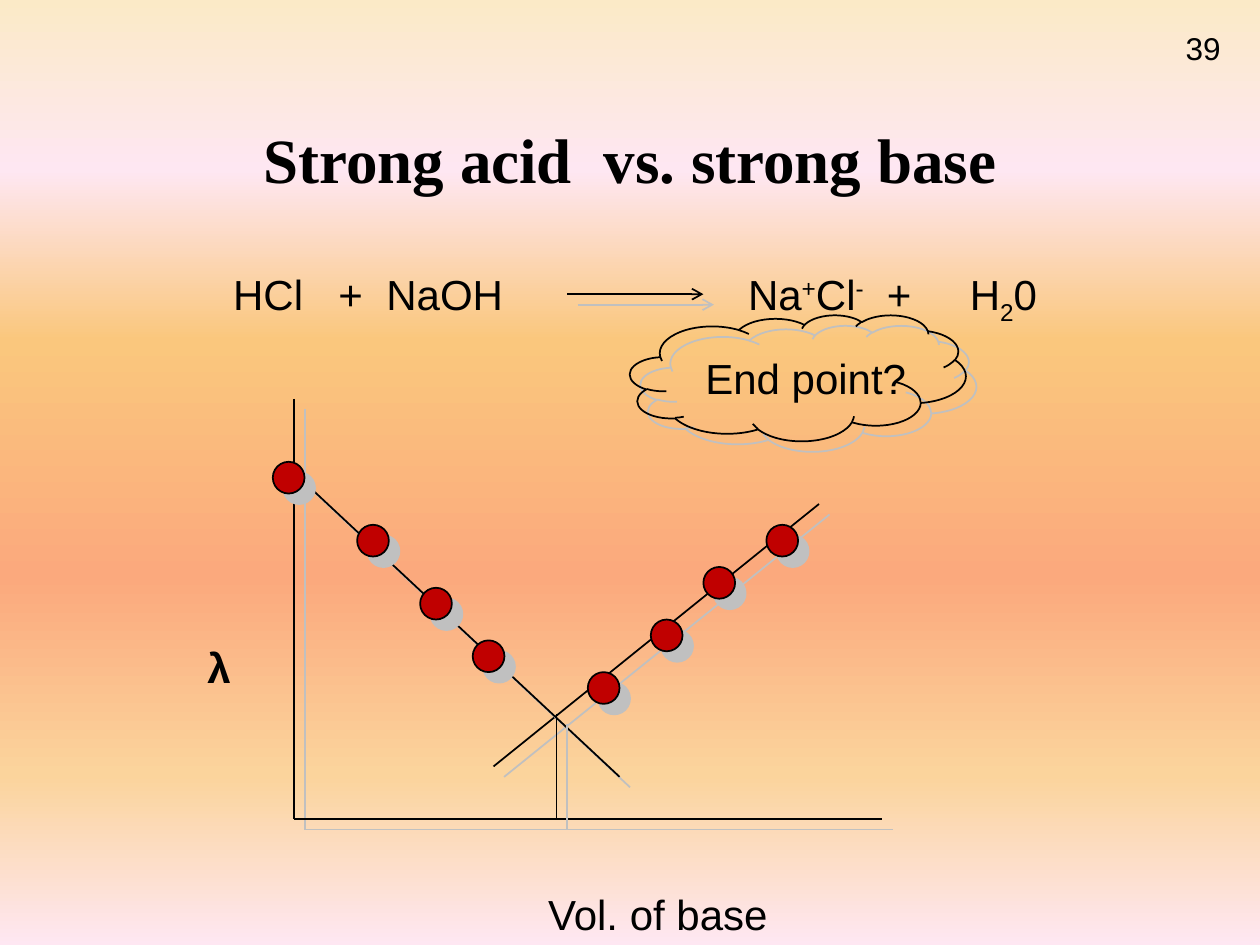
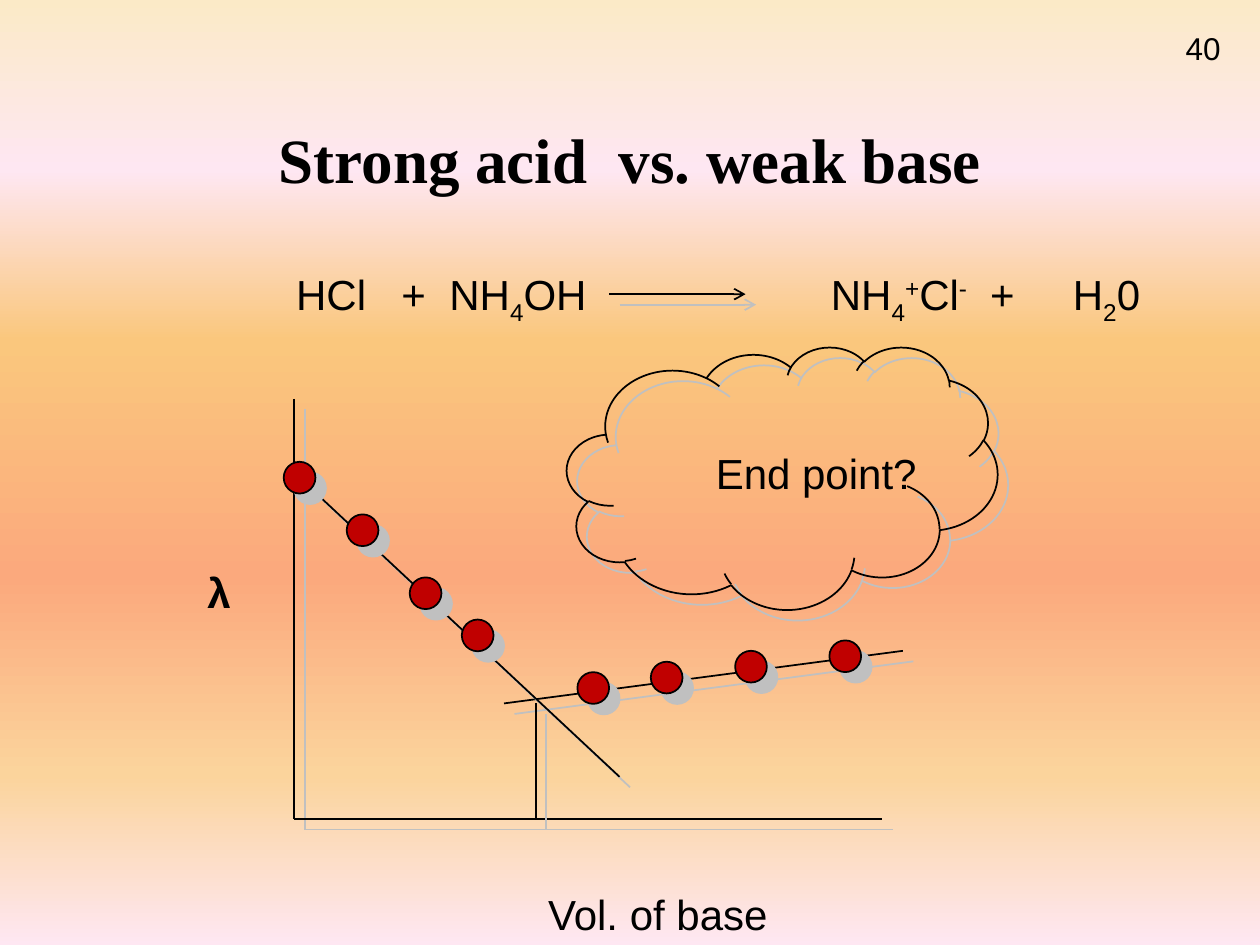
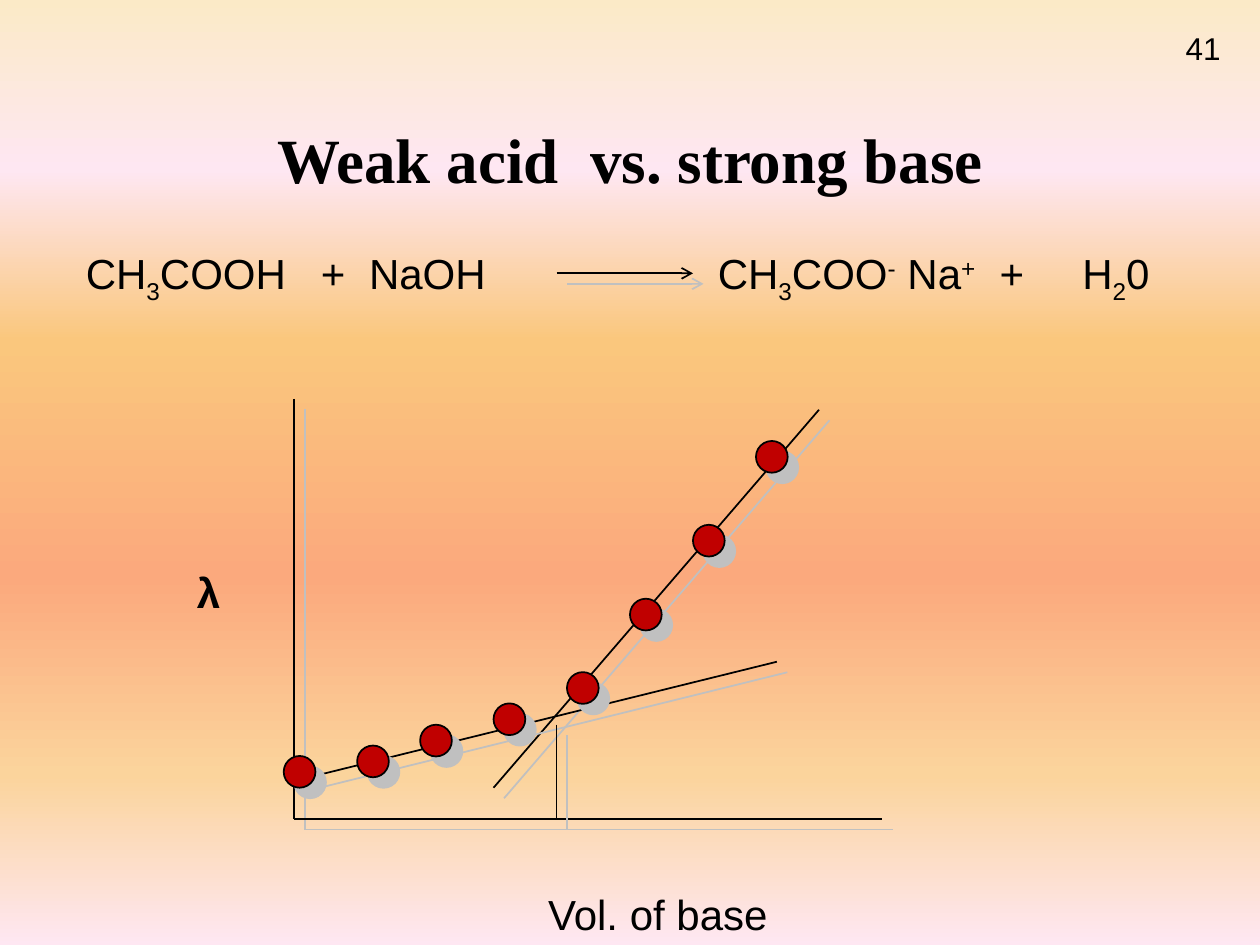
"""Build three slides on conductometric titration curves."""
from lxml import etree
from pptx import Presentation
from pptx.dml.color import RGBColor
from pptx.enum.shapes import MSO_CONNECTOR, MSO_SHAPE
from pptx.enum.text import MSO_ANCHOR, PP_ALIGN
from pptx.oxml.ns import qn
from pptx.util import Cm, Pt

STRAIGHT = MSO_CONNECTOR.STRAIGHT
OVAL = MSO_SHAPE.OVAL
CLOUD = MSO_SHAPE.CLOUD
MIDDLE = MSO_ANCHOR.MIDDLE
CENTER = PP_ALIGN.CENTER

COLOURS = {"ink": "000000", "dot": "C00000", "shadow": "C0C0C0"}
BACKGROUND = {0: "FBEAC7", 18: "FEE7F2", 36: "FAC77D",
              61: "FBA97D", 82: "FBD49C", 100: "FEE7F2"}
FONTS = {
    "title": {"name": "Times New Roman", "size": Pt(36), "bold": True},
    "label": {"name": "Arial", "size": Pt(24), "bold": False},
    "symbol": {"name": "Arial", "size": Pt(24), "bold": True},
    "number": {"name": "Arial", "size": Pt(18), "bold": False},
}
TITLE_FRAME = {"vertical_anchor": MIDDLE}
TITLE_PARA = {"alignment": CENTER, "line_spacing": 0.9}
BASELINES = {"_": -25000, "^": 30000}

FIRST_NUMBER = 39
DOT_SIZE = 0.64
LINE_HEIGHT = 1.27
ARROW_LENGTH = 2.75
ARROW_DROP = 0.64
ORIGIN = (5.93, 16.51)
AXIS_TOP = (5.93, 8.04)
AXIS_END = (17.78, 16.51)

SLIDES = [
    {
        "title": "Strong acid  vs. strong base",
        "formula": "HCl\t+\tNaOH\tNa^+Cl^-\t+\tH_20",
        "formula_box": (4.45, 5.29, 17.81),
        "tabs": (2.12, 10.38, 13.18),
        "arrow_left": 11.43,
        "symbol_at": (3.93, 12.8),
        "branches": [((16.51, 10.16), (9.95, 15.45)),
                     ((5.93, 9.53), (12.49, 15.66))],
        "end_point": (11.22, 14.39),
        "dots": [(5.5, 9.31), (7.2, 10.58), (8.47, 11.85), (9.53, 12.91),
                 (11.85, 13.55), (13.12, 12.49), (14.18, 11.43), (15.45, 10.58)],
        "cloud": (12.7, 6.35, 6.77, 2.54),
        "question_at": (13.97, 6.99),
    },
    {
        "title": "Strong acid  vs. weak base",
        "formula": "HCl\t+\tNH_4OH\tNH_4^+Cl^-\t+\tH_20",
        "formula_box": (5.72, 5.29, 18.26),
        "tabs": (2.12, 10.78, 13.99),
        "arrow_left": 12.28,
        "symbol_at": (3.93, 11.3),
        "branches": [((18.2, 13.12), (10.16, 14.18)),
                     ((5.93, 9.53), (12.49, 15.66))],
        "end_point": (10.8, 14.18),
        "dots": [(5.72, 9.31), (6.99, 10.37), (8.26, 11.64), (9.31, 12.49),
                 (11.64, 13.55), (13.12, 13.34), (14.82, 13.12), (16.72, 12.91)],
        "cloud": (11.43, 6.99, 8.68, 5.29),
        "question_at": (14.18, 8.89),
    },
    {
        "title": "Weak acid  vs. strong base",
        "formula": "CH_3COOH\t+\tNaOH\tCH_3COO^- Na^+\t+\tH_20",
        "formula_box": (1.48, 4.87, 22.81),
        "tabs": (4.74, 12.74, 18.42),
        "arrow_left": 11.22,
        "symbol_at": (3.72, 11.3),
        "branches": [((16.51, 8.26), (9.95, 15.88)),
                     ((5.82, 15.77), (15.66, 13.34))],
        "end_point": (11.22, 14.61),
        "dots": [(5.72, 15.24), (7.2, 15.03), (8.47, 14.61), (9.95, 14.18),
                 (11.43, 13.55), (12.7, 12.07), (13.97, 10.58), (15.24, 8.89)],
    },
]


def apply(target, values):
    """Set each named attribute of the target."""
    for name, value in values.items():
        setattr(target, name, value)


def add_child(parent, tag, **attributes):
    """Append a drawing element with the given attributes."""
    child = etree.SubElement(parent, qn(tag))
    for name, value in attributes.items():
        child.set(name, str(value))
    return child


def paint_background(master):
    """Give the master a vertical gradient of all background colours."""
    fill = master.background.fill
    fill.gradient()
    fill.gradient_angle = 270
    stops = master.element.find(".//" + qn("a:gsLst"))
    for stop in list(stops):
        stops.remove(stop)
    for percent, colour in BACKGROUND.items():
        stop = add_child(stops, "a:gs", pos=percent * 1000)
        add_child(stop, "a:srgbClr", val=colour)


def add_shadow(effects):
    """Fill an effect list with a hard grey shadow to the lower right."""
    shadow = add_child(effects, "a:outerShdw", blurRad=0, dist=Pt(8.5),
                       dir=2700000, algn="ctr", rotWithShape=0)
    add_child(shadow, "a:srgbClr", val=COLOURS["shadow"])


def style_line(line):
    """Make a line thin and black."""
    line.color.rgb = RGBColor.from_string(COLOURS["ink"])
    line.width = Pt(1)


def add_line(page, start, end, arrow=False):
    """Draw a shadowed straight line, with an arrowhead if asked."""
    line = page.shapes.add_connector(STRAIGHT, *map(Cm, (*start, *end)))
    style_line(line.line)
    properties = line.element.spPr
    if arrow:
        add_child(properties.find(qn("a:ln")), "a:tailEnd", type="arrow")
    add_shadow(add_child(properties, "a:effectLst"))


def add_figure(page, kind, place, colour=None):
    """Draw an outlined, shadowed shape, filled when a colour is given."""
    figure = page.shapes.add_shape(kind, *map(Cm, place))
    if colour:
        figure.fill.solid()
        figure.fill.fore_color.rgb = RGBColor.from_string(colour)
    else:
        figure.fill.background()
    style_line(figure.line)
    figure.shadow.inherit = False
    add_shadow(figure.element.spPr.find(qn("a:effectLst")))


def split_formula(formula):
    """Split text into spans, where _ lowers and ^ raises the next character."""
    spans = []
    baseline = 0
    for char in formula:
        if char in BASELINES:
            baseline = BASELINES[char]
            continue
        if spans and baseline == spans[-1][1] == 0:
            spans[-1] = (spans[-1][0] + char, 0)
        else:
            spans.append((char, baseline))
        baseline = 0
    return spans


def add_text(page, place, text, style):
    """Add a one-paragraph text box and return it."""
    box = page.shapes.add_textbox(*map(Cm, place))
    box.text_frame.word_wrap = True
    para = box.text_frame.paragraphs[0]
    for content, baseline in split_formula(text):
        span = para.add_run()
        span.text = content
        apply(span.font, FONTS[style])
        span.font.color.rgb = RGBColor.from_string(COLOURS["ink"])
        if baseline:
            span._r.get_or_add_rPr().set("baseline", str(baseline))
    return box


def add_title(page, title):
    """Add the centred slide title."""
    box = add_text(page, (2.75, 1.69, 19.9, 3.18), title, "title")
    apply(box.text_frame, TITLE_FRAME)
    apply(box.text_frame.paragraphs[0], TITLE_PARA)


def add_equation(page, content):
    """Add the reaction with its parts on tab stops, and its arrow."""
    left, top, width = content["formula_box"]
    box = add_text(page, (left, top, width, LINE_HEIGHT), content["formula"], "label")
    plus, product, last_plus = content["tabs"]
    stops = (plus, plus + 0.97, product, last_plus, last_plus + 1.67)
    properties = box.text_frame.paragraphs[0]._p.get_or_add_pPr()
    tabs = add_child(properties, "a:tabLst")
    for stop in stops:
        add_child(tabs, "a:tab", pos=Cm(stop), algn="l")
    start, height = content["arrow_left"], top + ARROW_DROP
    add_line(page, (start, height), (start + ARROW_LENGTH, height), arrow=True)


def add_curve(page, content):
    """Draw the axes, both branches, the end point and the readings."""
    end_x, end_y = content["end_point"]
    lines = [(AXIS_TOP, ORIGIN), (ORIGIN, AXIS_END), *content["branches"],
             ((end_x, end_y), (end_x, ORIGIN[1]))]
    for start, end in lines:
        add_line(page, start, end)
    for dot in content["dots"]:
        add_figure(page, OVAL, (*dot, DOT_SIZE, DOT_SIZE), COLOURS["dot"])
    add_text(page, (*content["symbol_at"], 1.2, LINE_HEIGHT), "λ", "symbol")
    add_text(page, (10.8, 17.78, 5, LINE_HEIGHT), "Vol. of base", "label")


def add_question(page, content):
    """Add the cloud that asks for the end point."""
    add_figure(page, CLOUD, content["cloud"])
    add_text(page, (*content["question_at"], 4.6, LINE_HEIGHT), "End point?", "label")


def main():
    """Build and save the deck."""
    deck = Presentation()
    deck.slide_width, deck.slide_height = Cm(25.4), Cm(19.05)
    paint_background(deck.slide_master)
    for number, content in enumerate(SLIDES, FIRST_NUMBER):
        page = deck.slides.add_slide(deck.slide_layouts[6])
        add_text(page, (23.65, 0.46, 1.3, 1.02), str(number), "number")
        add_title(page, content["title"])
        add_curve(page, content)
        add_equation(page, content)
        if "cloud" in content:
            add_question(page, content)
    deck.save("out.pptx")


main()
